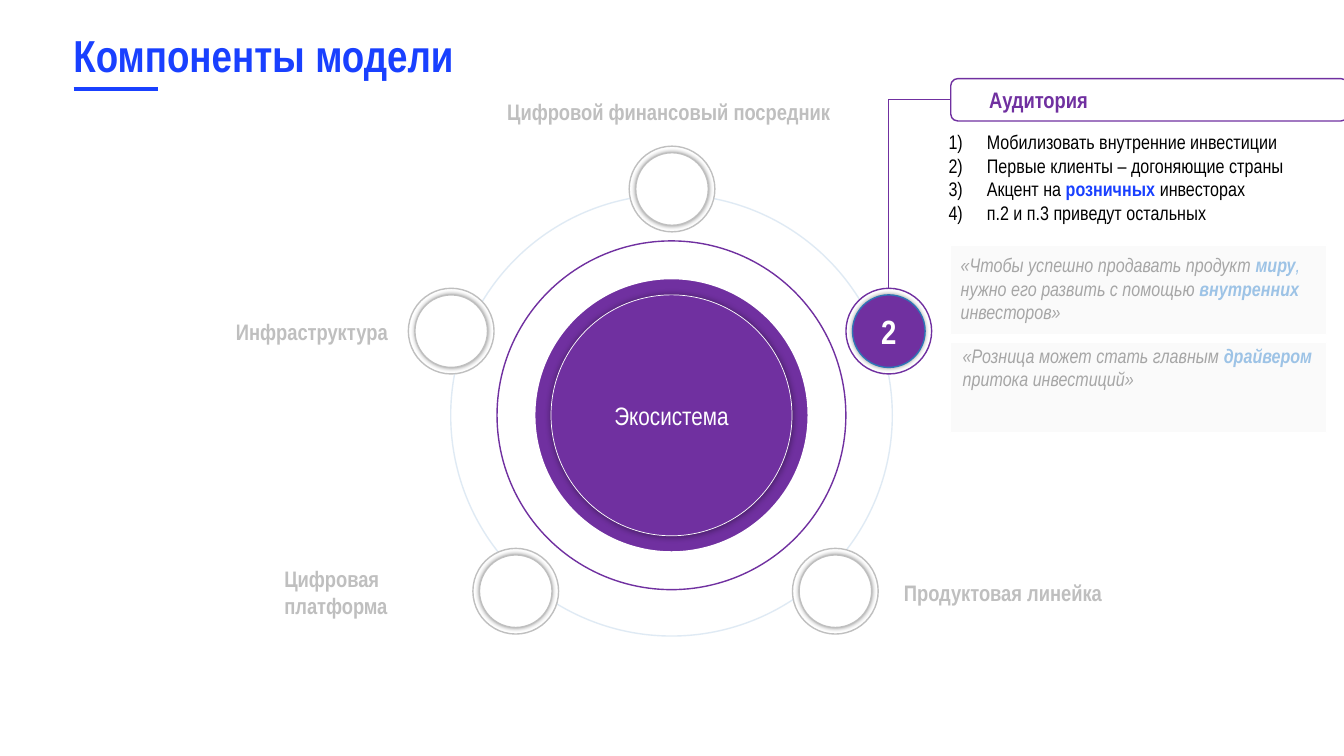
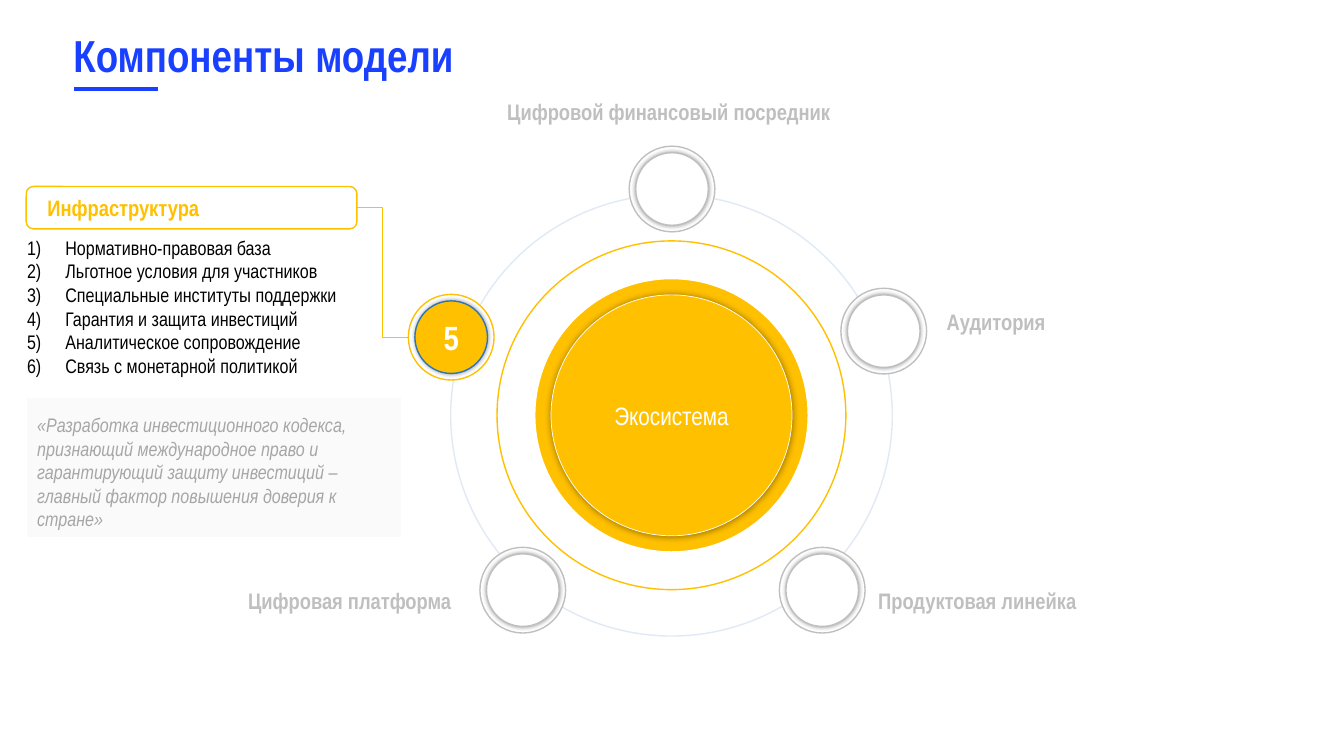
from lxml import etree
from pptx import Presentation
from pptx.dml.color import RGBColor
from pptx.enum.shapes import MSO_CONNECTOR, MSO_SHAPE
from pptx.enum.text import MSO_ANCHOR, MSO_AUTO_SIZE, PP_ALIGN
from pptx.oxml.ns import qn
from pptx.util import Inches, Pt

ELLIPSE, RECTANGLE = MSO_SHAPE.OVAL, MSO_SHAPE.RECTANGLE
ROUNDED = MSO_SHAPE.ROUNDED_RECTANGLE
STRAIGHT, ELBOW = MSO_CONNECTOR.STRAIGHT, MSO_CONNECTOR.ELBOW
LEFT, CENTER, RIGHT = PP_ALIGN.LEFT, PP_ALIGN.CENTER, PP_ALIGN.RIGHT
TOP, MIDDLE = MSO_ANCHOR.TOP, MSO_ANCHOR.MIDDLE
FIT_TEXT = MSO_AUTO_SIZE.SHAPE_TO_FIT_TEXT

WHITE = RGBColor(0xFF, 0xFF, 0xFF)
BLACK = RGBColor(0x00, 0x00, 0x00)
BLUE = RGBColor(0x19, 0x40, 0xFF)
STEEL = RGBColor(0x2E, 0x75, 0xB6)
SKY = RGBColor(0x9D, 0xC3, 0xE6)
PURPLE = RGBColor(0x70, 0x30, 0xA0)
GOLD = RGBColor(0xFF, 0xC0, 0x00)
SILVER = RGBColor(0xBF, 0xBF, 0xBF)
GREY = RGBColor(0xA6, 0xA6, 0xA6)
PALE = RGBColor(0xF2, 0xF2, 0xF2)

FONT = "Arial Narrow"
TITLE = {"size": Pt(32), "bold": True, "color": BLUE}
HUB = {"size": Pt(18), "color": WHITE}
LABEL = {"size": Pt(16), "bold": True, "color": SILVER}
NUMBER = {"size": Pt(24), "bold": True, "color": WHITE}
BODY = {"size": Pt(14), "color": BLACK}
QUOTE = {"size": Pt(14), "italic": True, "color": GREY}
STRONG = {"bold": True, "color": BLUE}
QUOTE_STRONG = {"bold": True, "color": SKY}

KNOB, CORE = 0.85, 0.72
HUB_CENTER = (6.66, 4.12)
INDENT = 0.38


def set_alpha(element, percent):
    color = next(element.iter(qn("a:srgbClr")))
    etree.SubElement(color, qn("a:alpha"), val=str(percent * 1000))


class Board:
    """Holds the deck, the slide being drawn and its accent colour."""

    def __init__(self):
        self.deck = Presentation()
        self.deck.slide_width = Inches(13.33)
        self.deck.slide_height = Inches(7.5)

    def new_slide(self, accent):
        self.accent = accent
        page = self.deck.slides.add_slide(self.deck.slide_layouts[6])
        self.shapes = page.shapes
        self.text((0.63, 0.13, 4.13, 0.83), ["Компоненты модели"], TITLE,
                  anchor=MIDDLE)
        self.connector(STRAIGHT, (0.73, 0.88), (1.57, 0.88), BLUE, 3)
        self.hub()

    def fill_frame(self, frame, paragraphs, style, align=LEFT):
        """Fill a frame; a paragraph is a string or a list of (text, changes)."""
        for index, content in enumerate(paragraphs):
            para = frame.paragraphs[0] if index == 0 else frame.add_paragraph()
            para.alignment = align
            spans = [(content, {})] if isinstance(content, str) else content
            for text, changes in spans:
                span = para.add_run()
                span.text = text
                for name, value in {"name": FONT, **style, **changes}.items():
                    if name == "color":
                        span.font.color.rgb = value
                    else:
                        setattr(span.font, name, value)

    def text(self, place, paragraphs, style, align=LEFT, anchor=TOP,
             wrap=True, inset=True):
        box = self.shapes.add_textbox(*map(Inches, place))
        frame = box.text_frame
        frame.word_wrap = wrap
        frame.vertical_anchor = anchor
        if anchor == TOP or not inset:
            frame.auto_size = FIT_TEXT
        if not inset:
            for side in ("left", "right", "top", "bottom"):
                setattr(frame, f"margin_{side}", 0)
        self.fill_frame(frame, paragraphs, style, align)
        return box

    def label(self, left, top, width, *lines, align=LEFT):
        self.text((left, top, width, 0.27 * len(lines)), lines, LABEL, align,
                  MIDDLE, wrap=False, inset=False)

    def shape(self, kind, place, fill, line, weight=1):
        shape = self.shapes.add_shape(kind, *map(Inches, place))
        shape.shadow.inherit = False
        if fill is None:
            shape.fill.background()
        else:
            shape.fill.solid()
            shape.fill.fore_color.rgb = fill
        shape.line.color.rgb = line
        shape.line.width = Pt(weight)
        return shape

    def glow(self, shape, blur, percent):
        """Add an even dark shadow on all sides."""
        effects = shape._element.spPr.find(qn("a:effectLst"))
        shadow = etree.SubElement(effects, qn("a:outerShdw"), dist="0", dir="0",
                                  blurRad=str(Pt(blur)), algn="ctr",
                                  rotWithShape="0")
        etree.SubElement(shadow, qn("a:srgbClr"), val=str(BLACK))
        set_alpha(shadow, percent)

    def connector(self, kind, start, end, color, weight):
        line = self.shapes.add_connector(kind, *map(Inches, start + end))
        line.line.color.rgb = color
        line.line.width = Pt(weight)
        etree.SubElement(line._element.spPr, qn("a:effectLst"))
        return line

    def disc(self, diameter, fill, line, weight=1):
        """Draw a circle around the centre of the hub."""
        left, top = (middle - diameter / 2 for middle in HUB_CENTER)
        return self.shape(ELLIPSE, (left, top, diameter, diameter),
                          fill, line, weight)

    def hub(self):
        orbit = self.disc(4.38, None, STEEL)
        set_alpha(orbit._element.spPr.find(qn("a:ln")), 15)
        self.disc(3.46, None, self.accent)
        self.disc(2.74, self.accent, WHITE, 3)
        core = self.disc(2.39, self.accent, WHITE, 0.5)
        self.glow(core, 5, 40)
        self.fill_frame(core.text_frame, ["Экосистема"], HUB, CENTER)

    def knob(self, left, top, number=None):
        """Draw a ringed button, in the accent colour if it has a number."""
        ring_color, fill, line = SILVER, WHITE, SILVER
        if number:
            ring_color, fill, line = self.accent, self.accent, STEEL
        ring = self.shape(ELLIPSE, (left, top, KNOB, KNOB), WHITE, ring_color)
        gap = (KNOB - CORE) / 2
        core = self.shape(ELLIPSE, (left + gap, top + gap, CORE, CORE),
                          fill, line)
        self.glow(core, 3, 35)
        if number:
            core.text_frame.word_wrap = False
            self.fill_frame(core.text_frame, [number], NUMBER, CENTER)
        return ring

    def heading(self, left, top, width, text, indent):
        panel = self.shape(ROUNDED, (left, top, width, 0.42), None, self.accent)
        panel.text_frame.margin_left = Inches(indent)
        self.fill_frame(panel.text_frame, [text],
                        {**LABEL, "color": self.accent})
        return panel

    def numbered_list(self, place, items):
        box = self.text(place, items, BODY)
        for para in box.text_frame.paragraphs:
            properties = para._p.get_or_add_pPr()
            properties.set("marL", str(Inches(INDENT)))
            properties.set("indent", str(-Inches(INDENT)))
            etree.SubElement(properties, qn("a:buFont"), typeface="+mj-lt")
            etree.SubElement(properties, qn("a:buAutoNum"), type="arabicParenR")

    def quote(self, card_place, text_place, spans):
        card = self.shape(RECTANGLE, card_place, PALE, WHITE)
        set_alpha(card._element.spPr.find(qn("a:solidFill")), 35)
        self.text(text_place, [spans], QUOTE)


def audience_slide(board):
    board.new_slide(PURPLE)
    for left, top in [(4.05, 2.86), (4.69, 5.44), (6.24, 1.45), (7.86, 5.44)]:
        board.knob(left, top)
    board.label(5.03, 0.97, 3.25, "Цифровой финансовый посредник")
    board.label(2.34, 3.15, 1.52, "Инфраструктура")
    board.label(2.82, 5.6, 1.68, "Цифровая", "платформа")
    board.label(8.94, 5.74, 1.99, "Продуктовая линейка", align=RIGHT)

    knob = board.knob(8.39, 2.86, "2")
    panel = board.heading(9.43, 0.78, 3.94, "Аудитория", 0.36)
    link = board.connector(ELBOW, (9.43, 0.99), (8.82, 2.86), PURPLE, 0.5)
    link._element.spPr.find(qn("a:prstGeom")).set("prst", "bentConnector2")
    link.begin_connect(panel, 1)
    link.end_connect(knob, 0)

    board.numbered_list((9.31, 1.24, 3.76, 1.04), [
        "Мобилизовать внутренние инвестиции",
        "Первые клиенты – догоняющие страны",
        [("Акцент на ", {}), ("розничных ", STRONG), ("инвесторах", {})],
        "п.2 и п.3 приведут остальных",
    ])
    board.quote((9.43, 2.43, 3.73, 0.89), (9.43, 2.46, 3.9, 0.81), [
        ("«Чтобы успешно продавать продукт ", {}),
        ("миру", QUOTE_STRONG),
        (", ", {"color": SKY}),
        ("нужно его развить с помощью ", {}),
        ("внутренних", QUOTE_STRONG),
        (" инвесторов»", {}),
    ])
    board.quote((9.43, 3.4, 3.73, 0.89), (9.45, 3.36, 3.9, 0.57), [
        ("«Розница может стать главным ", {}),
        ("драйвером", QUOTE_STRONG),
        (" притока инвестиций»", {}),
    ])


def infrastructure_slide(board):
    board.new_slide(GOLD)
    for left, top in [(7.73, 5.43), (6.24, 1.45), (8.34, 2.86), (4.76, 5.43)]:
        board.knob(left, top)
    board.label(5.03, 0.97, 3.25, "Цифровой финансовый посредник")
    board.label(9.39, 3.06, 1, "Аудитория")
    board.label(8.71, 5.82, 1.99, "Продуктовая линейка")
    board.label(2.46, 5.82, 2.05, "Цифровая платформа")

    knob = board.knob(4.05, 2.92, "5")
    panel = board.heading(0.26, 1.85, 3.28, "Инфраструктура", 0.19)
    link = board.connector(ELBOW, (3.54, 2.06), (4.05, 3.35), GOLD, 0.5)
    link.begin_connect(panel, 3)
    # Site 2 of an ellipse is its left side, so the end is placed there again.
    link.end_connect(knob, 2)
    link.end_x, link.end_y = Inches(4.05), Inches(3.35)

    board.numbered_list((0.17, 2.29, 4.26, 1.75), [
        "Нормативно-правовая база",
        "Льготное условия для участников",
        "Специальные институты поддержки",
        "Гарантия и защита инвестиций",
        "Аналитическое сопровождение",
        "Связь с монетарной политикой",
    ])
    board.quote((0.26, 3.94, 3.73, 1.39), (0.27, 4.05, 3.71, 1.28), [
        ("«Разработка инвестиционного кодекса, признающий международное право "
         "и гарантирующий защиту инвестиций – главный фактор повышения доверия "
         "к стране»", {}),
    ])


def main():
    board = Board()
    audience_slide(board)
    infrastructure_slide(board)
    board.deck.save("out.pptx")


if __name__ == "__main__":
    main()
